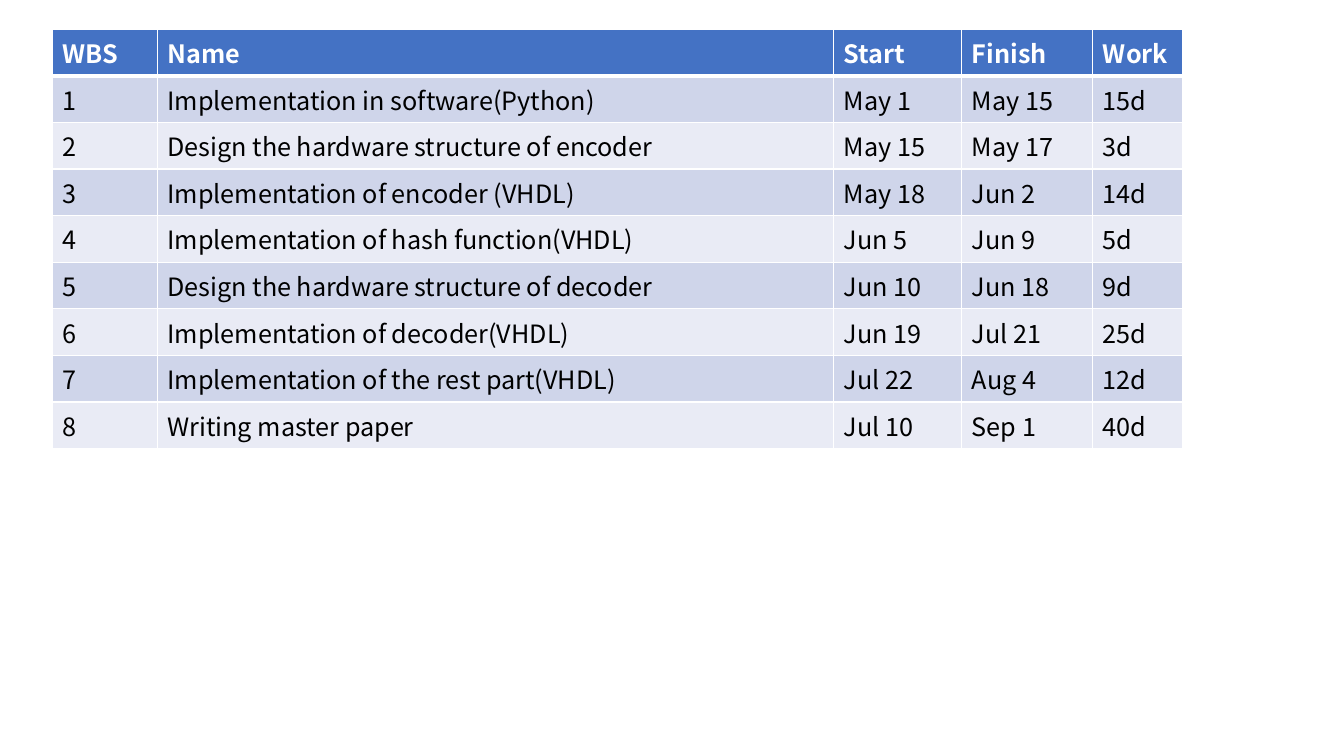
"""Build a slide with the work breakdown schedule of a hardware project."""
import dataclasses

import lxml.etree
import pptx
import pptx.dml.color
import pptx.oxml.ns
import pptx.util

COLORS = {
    "header": "4472C4",
    "odd": "CFD5EA",
    "even": "E9EBF5",
    "white": "FFFFFF",
    "black": "000000",
}
FONT = "Noto Sans CJK SC"
SLIDE_WIDTH, SLIDE_HEIGHT = 13.33, 7.5
TABLE_LEFT, TABLE_TOP = 0.52, 0.29
COLUMN_WIDTHS = (1.04, 6.71, 1.27, 1.3, 0.89)
ROW_HEIGHT = 0.41
THIN, THICK = 1, 3
HEADINGS = ("WBS", "Name", "Start", "Finish", "Work")


@dataclasses.dataclass(frozen=True)
class Task:
    name: str
    start: str
    finish: str
    work: str


@dataclasses.dataclass(frozen=True)
class RowStyle:
    fill: str
    text: str
    bold: bool
    top: int
    bottom: int


TASKS = (
    Task("Implementation in software(Python)", "May 1", "May 15", "15d"),
    Task("Design the hardware structure of encoder", "May 15", "May 17", "3d"),
    Task("Implementation of encoder (VHDL)", "May 18", "Jun 2", "14d"),
    Task("Implementation of hash function(VHDL)", "Jun 5", "Jun 9", "5d"),
    Task("Design the hardware structure of decoder", "Jun 10", "Jun 18", "9d"),
    Task("Implementation of decoder(VHDL)", "Jun 19", "Jul 21", "25d"),
    Task("Implementation of the rest part(VHDL)", "Jul 22", "Aug 4", "12d"),
    Task("Writing master paper", "Jul 10", "Sep 1", "40d"),
)


def rgb(name: str) -> pptx.dml.color.RGBColor:
    """Return the named colour."""
    return pptx.dml.color.RGBColor.from_string(COLORS[name])


def row_style(row: int) -> RowStyle:
    """Return the header style or the banded style of a task row."""
    if row == 0:
        return RowStyle("header", "white", True, THIN, THICK)
    band = "odd" if row % 2 else "even"
    return RowStyle(band, "black", False, THICK if row == 1 else THIN, THIN)


def draw_borders(cell, style: RowStyle) -> None:
    """Draw white lines on the four sides of a cell."""
    qualify = pptx.oxml.ns.qn
    properties = cell._tc.get_or_add_tcPr()
    widths = {"lnL": THIN, "lnR": THIN, "lnT": style.top, "lnB": style.bottom}
    for side, width in widths.items():
        line = lxml.etree.SubElement(
            properties, qualify(f"a:{side}"), w=str(pptx.util.Pt(width))
        )
        fill = lxml.etree.SubElement(line, qualify("a:solidFill"))
        lxml.etree.SubElement(fill, qualify("a:srgbClr"), val=COLORS["white"])


def draw_cell(cell, text: str, style: RowStyle) -> None:
    """Fill a cell with its text, borders and background."""
    draw_borders(cell, style)
    cell.fill.solid()
    cell.fill.fore_color.rgb = rgb(style.fill)
    cell.text = text
    font = cell.text_frame.paragraphs[0].font
    font.name = FONT
    font.size = pptx.util.Pt(18)
    font.bold = style.bold
    font.color.rgb = rgb(style.text)


def draw_schedule(slide) -> None:
    """Draw the schedule table with numbered tasks."""
    rows = [HEADINGS] + [
        (str(number), *dataclasses.astuple(task))
        for number, task in enumerate(TASKS, start=1)
    ]
    table = slide.shapes.add_table(
        len(rows),
        len(HEADINGS),
        pptx.util.Inches(TABLE_LEFT),
        pptx.util.Inches(TABLE_TOP),
        pptx.util.Inches(sum(COLUMN_WIDTHS)),
        pptx.util.Inches(ROW_HEIGHT * len(rows)),
    ).table
    for column, width in zip(table.columns, COLUMN_WIDTHS):
        column.width = pptx.util.Inches(width)
    for row, texts in enumerate(rows):
        for column, text in enumerate(texts):
            draw_cell(table.cell(row, column), text, row_style(row))


def main() -> None:
    """Build and save the presentation."""
    presentation = pptx.Presentation()
    presentation.slide_width = pptx.util.Inches(SLIDE_WIDTH)
    presentation.slide_height = pptx.util.Inches(SLIDE_HEIGHT)
    slide = presentation.slides.add_slide(presentation.slide_layouts[6])
    draw_schedule(slide)
    presentation.save("out.pptx")


main()
